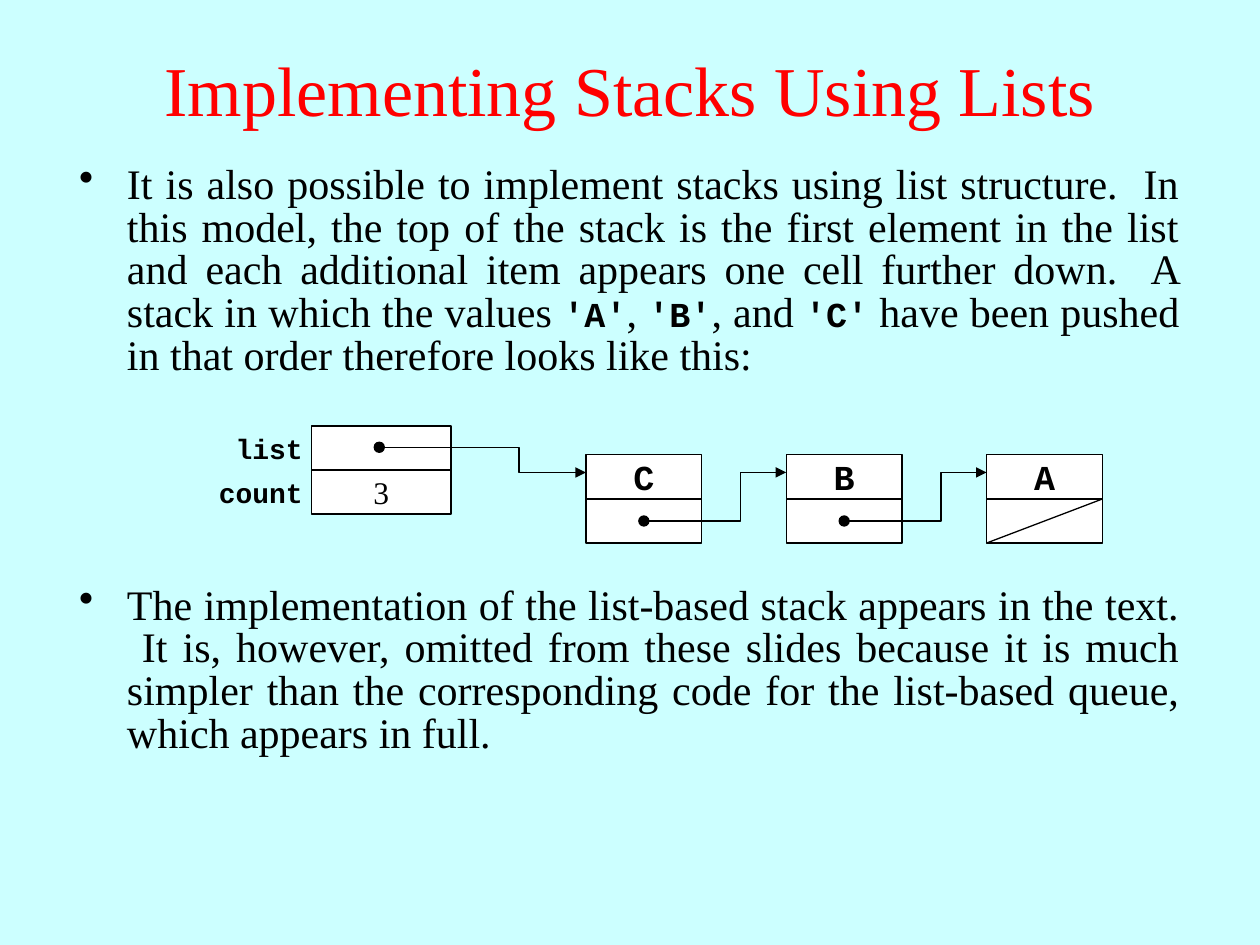
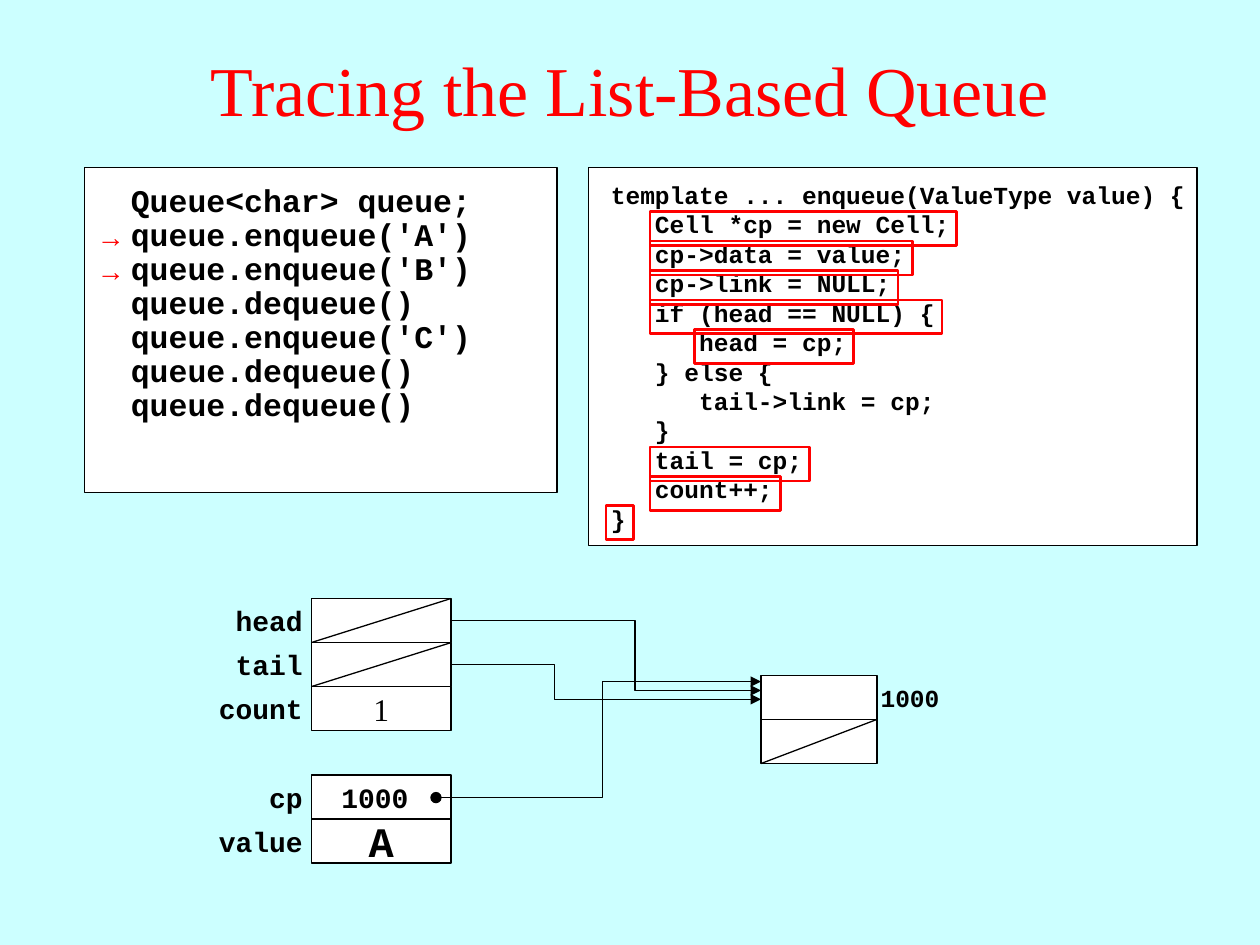
from lxml import etree
from pptx import Presentation
from pptx import util as u
from pptx.dml.color import RGBColor
from pptx.enum import shapes, text
from pptx.oxml.ns import qn

COLORS = {"back": "CCFFFF", "accent": "FF0000", "ink": "000000", "paper": "FFFFFF"}
SERIF, MONO, SANS = "Times New Roman", "Courier New", "Arial"
LEFT, CENTER, RIGHT = text.PP_ALIGN.LEFT, text.PP_ALIGN.CENTER, text.PP_ALIGN.RIGHT
ROW_H, FIELD_W, NODE_W, NODE_STEP = 0.35, 1.11, 0.92, 1.59
CODE_SIZE, CODE_PITCH = 14, 16.8
CODE = """template ... enqueue(ValueType value) {
   Cell *cp = new Cell;
   cp->data = value;
   cp->link = NULL;
   if (head == NULL) {
      head = cp;
   } else {
      tail->link = cp;
   }
   tail = cp;
   count++;
}""".split("\n")
TRACED_LINES = (1, 2, 3, 4, 5, 9, 10, 11)
CALLS = ["Queue<char> queue;", "queue.enqueue('A')", "queue.enqueue('B')", "queue.dequeue()",
         "queue.enqueue('C')", "queue.dequeue()", "queue.dequeue()"]
DONE_CALLS = (1, 2)


def rgb(name):
    """Return the named colour."""
    return RGBColor.from_string(COLORS[name])


def add_run(p, words, size, font=MONO, color="ink"):
    """Append a run; monospaced text is bold."""
    r = p.add_run()
    r.text = words
    r.font.size, r.font.name, r.font.bold = u.Pt(size), font, font == MONO
    r.font.color.rgb = rgb(color)


def textbox(s, x, y, w, h, middle=False, wrap=True):
    """Add an empty text box and return its text frame."""
    tf = s.shapes.add_textbox(*map(u.Inches, (x, y, w, h))).text_frame
    tf.word_wrap = wrap
    if middle:
        tf.vertical_anchor = text.MSO_ANCHOR.MIDDLE
        tf.margin_top = tf.margin_bottom = 0
    return tf


def label(s, x, y, w, h, words, size, font=MONO, color="ink", align=LEFT, middle=False, wrap=True):
    """Add a one-line text box and return its paragraph."""
    p = textbox(s, x, y, w, h, middle, wrap).paragraphs[0]
    p.alignment = align
    add_run(p, words, size, font, color)
    return p


def box(s, x, y, w, h, fill="paper", line="ink", weight=0.75, kind=shapes.MSO_SHAPE.RECTANGLE):
    """Add an outlined shape, hollow when fill is None."""
    sp = s.shapes.add_shape(kind, *map(u.Inches, (x, y, w, h)))
    sp.shadow.inherit = False
    if fill:
        sp.fill.solid()
        sp.fill.fore_color.rgb = rgb(fill)
    else:
        sp.fill.background()
    sp.line.color.rgb, sp.line.width = rgb(line), u.Pt(weight)
    return sp


def connector(s, kind, x1, y1, x2, y2):
    """Add a thin connector without shadow."""
    c = s.shapes.add_connector(kind, *map(u.Inches, (x1, y1, x2, y2)))
    c.line.color.rgb, c.line.width = rgb("ink"), u.Pt(0.75)
    etree.SubElement(c._element.spPr, qn("a:effectLst"))
    return c


def elbow(s, x1, y1, x2, y2, bend):
    """Add a bent arrow that turns at the given x."""
    c = connector(s, shapes.MSO_CONNECTOR.ELBOW, x1, y1, x2, y2)
    geom = c._element.spPr.find(qn("a:prstGeom"))
    av = geom.find(qn("a:avLst"))
    if av is None:
        av = etree.SubElement(geom, qn("a:avLst"))
    ratio = round((bend - x1) / (x2 - x1) * 100000)
    etree.SubElement(av, qn("a:gd"), name="adj1", fmla=f"val {ratio}")
    etree.SubElement(c.line._get_or_add_ln(), qn("a:tailEnd"), type="triangle")


def pointer(s, x, y, x2, y2, bend):
    """Add a dot centred on the start of a bent arrow."""
    box(s, x - 0.04, y - 0.04, 0.08, 0.08, "ink", kind=shapes.MSO_SHAPE.OVAL)
    elbow(s, x, y, x2, y2, bend)


def cell(s, x, y, w, value="", size=20, font=MONO, nil=False, pad=0):
    """Add a memory cell with a value or the diagonal of a null link."""
    sp = box(s, x, y, w, ROW_H)
    if value:
        tf = sp.text_frame
        tf.margin_left = tf.margin_top = tf.margin_bottom = 0
        tf.margin_right = u.Inches(pad)
        tf.vertical_anchor = text.MSO_ANCHOR.MIDDLE
        tf.paragraphs[0].alignment = CENTER
        add_run(tf.paragraphs[0], value, size, font)
    if nil:
        connector(s, shapes.MSO_CONNECTOR.STRAIGHT, x, y + ROW_H, x + w, y)


def record(s, x, y, fields):
    """Stack labelled cells; each field is a name and its cell options."""
    for i, (name, options) in enumerate(fields):
        top = y + i * ROW_H
        cell(s, x, top, FIELD_W, **options)
        label(s, x - 0.97, top, 1, ROW_H, name, 16, align=RIGHT, middle=True)


def node(s, x, y, value="", nil=False):
    """Add a list node: a data cell above a link cell."""
    cell(s, x, y, NODE_W, value)
    cell(s, x, y + ROW_H, NODE_W, nil=nil)


def bullet(s, x, y, w, h, runs):
    """Add a justified bullet built from (words, size, font) runs."""
    p = textbox(s, x, y, w, h).paragraphs[0]
    pPr = p._p.get_or_add_pPr()
    pPr.set("marL", str(u.Inches(0.38)))
    pPr.set("indent", str(-u.Inches(0.38)))
    etree.SubElement(pPr, qn("a:buChar"), char="•")
    p.alignment, p.line_spacing = text.PP_ALIGN.JUSTIFY, 0.85
    for run in runs:
        add_run(p, *run)


def call_panel(s, x, y, w, h):
    """List the client calls and mark those already traced."""
    box(s, x, y, w, h)
    for i, call in enumerate(CALLS):
        top = y + 0.09 + 0.27 * i
        label(s, x + 0.27, top, 3.17, 0.37, call, 18).line_spacing = 0.9
        if i in DONE_CALLS:
            label(s, x, top, 0.42, 0.37, "→", 16, SANS, "accent", wrap=False)


def code_panel(s, x, y, w, h):
    """Show the method body and frame each traced line."""
    box(s, x, y, w, h)
    tf = textbox(s, x + 0.08, y + 0.05, w, h, wrap=False)
    for i, line in enumerate(CODE):
        p = tf.paragraphs[0] if i == 0 else tf.add_paragraph()
        p.line_spacing = u.Pt(CODE_PITCH)
        add_run(p, line, CODE_SIZE)
    char_w = CODE_SIZE * 0.6 / 72
    for i in TRACED_LINES:
        words = CODE[i].strip()
        indent = len(CODE[i]) - len(words)
        box(s, x + 0.14 + indent * char_w, y + 0.35 + (i - 1) * CODE_PITCH / 72,
            len(words) * char_w + 0.1, 0.27, None, "accent", 1.5)


def new_slide(prs, title):
    """Add a blank slide with the shared background and title."""
    s = prs.slides.add_slide(prs.slide_layouts[6])
    s.background.fill.solid()
    s.background.fill.fore_color.rgb = rgb("back")
    label(s, 0, 0.08, 10, 1.25, title, 40, SERIF, "accent", CENTER, middle=True)
    return s


def stack_diagram(s, x, y):
    """Draw the stack record and its chain of three nodes."""
    record(s, x, y, [("list", {}), ("count", dict(value="3", size=18, font=SERIF))])
    first, top = x + 2.18, y + 0.23
    values = "CBA"
    for i, value in enumerate(values):
        node(s, first + i * NODE_STEP, top, value, nil=i == len(values) - 1)
    pointer(s, x + 0.54, y + 0.17, first, top + 0.14, x + 1.65)
    for i in range(len(values) - 1):
        left = first + i * NODE_STEP
        pointer(s, left + NODE_W / 2, top + 1.5 * ROW_H, left + NODE_STEP, top + 0.14, left + 1.23)


def queue_diagram(s, x, y):
    """Draw the queue record, the local variables and the new node."""
    record(s, x, y, [("head", dict(nil=True)), ("tail", dict(nil=True)),
                     ("count", dict(value="1", size=18, font=SERIF))])
    record(s, x, y + 1.4, [("cp", dict(value="1000", size=16, pad=0.1)),
                           ("value", dict(value="A", size=24))])
    left, top = x + 3.57, y + 0.61
    node(s, left, top, nil=True)
    label(s, left + 0.85, top, 0.78, ROW_H, "1000", 14, middle=True)
    pointer(s, x + 0.99, y + 1.58, left, top + 0.05, x + 2.31)
    for i, bend in enumerate((2.57, 1.93)):
        elbow(s, x + FIELD_W, y + (i + 0.5) * ROW_H, left, top + 0.12 + 0.07 * i, x + bend)


def stack_slide(prs):
    """Build the slide on list-based stacks."""
    s = new_slide(prs, "Implementing Stacks Using Lists")
    bullet(s, 0.53, 1.26, 8.93, 1.32, [
        ("It is also possible to implement stacks using list structure.  In this model, the top "
         "of the stack is the first element in the list and each additional item appears one "
         "cell further down.  A stack in which the values ", 24, SERIF),
        ("'A'", 20), (", ", 24, SERIF), ("'B'", 20), (", and ", 24, SERIF), ("'C'", 20),
        (" have been pushed in that order therefore looks like this:", 24, SERIF)])
    stack_diagram(s, 2.47, 3.38)
    bullet(s, 0.53, 4.6, 8.93, 2.07, [
        ("The implementation of the list-based stack appears in the text.  It is, however, "
         "omitted from these slides because it is much simpler than the corresponding code for "
         "the list-based queue, which appears in full.", 24, SERIF)])


def queue_slide(prs):
    """Build the slide that traces the list-based queue."""
    s = new_slide(prs, "Tracing the List-Based Queue")
    call_panel(s, 0.67, 1.33, 3.75, 2.58)
    code_panel(s, 4.67, 1.33, 4.83, 3)
    queue_diagram(s, 2.47, 4.75)


def main():
    """Build and save the presentation."""
    prs = Presentation()
    prs.slide_width, prs.slide_height = u.Inches(10), u.Inches(7.5)
    stack_slide(prs)
    queue_slide(prs)
    prs.save("out.pptx")


if __name__ == "__main__":
    main()
